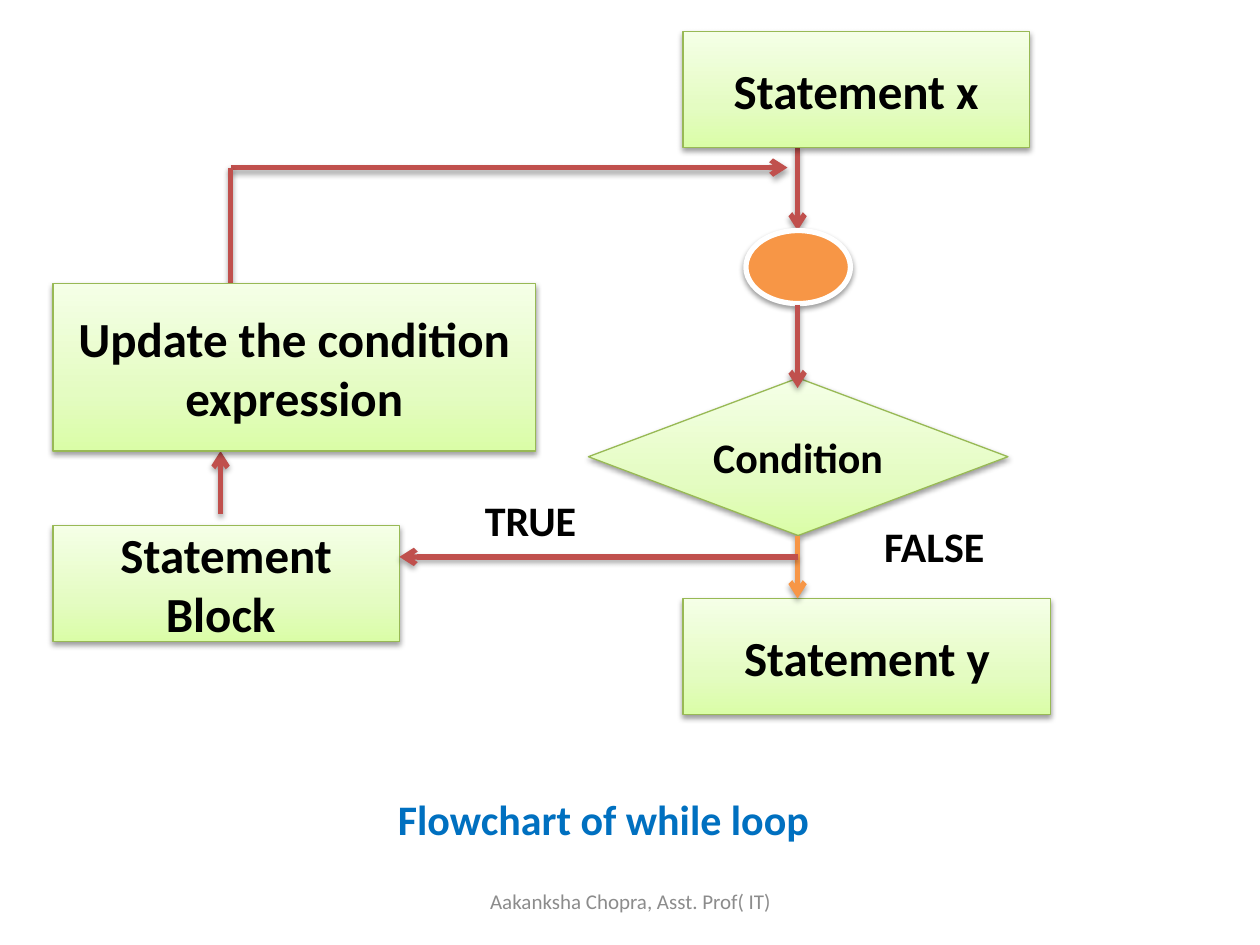
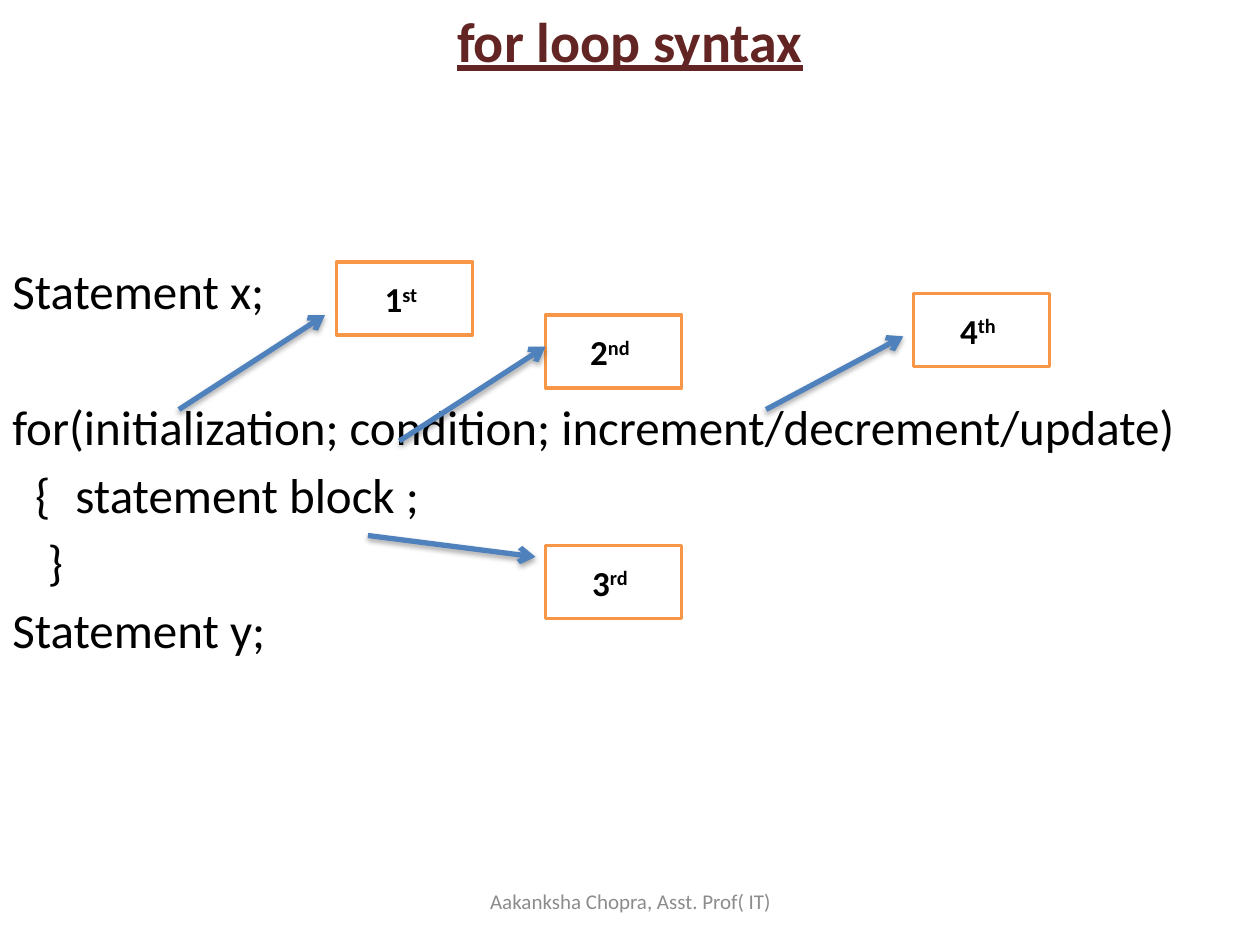
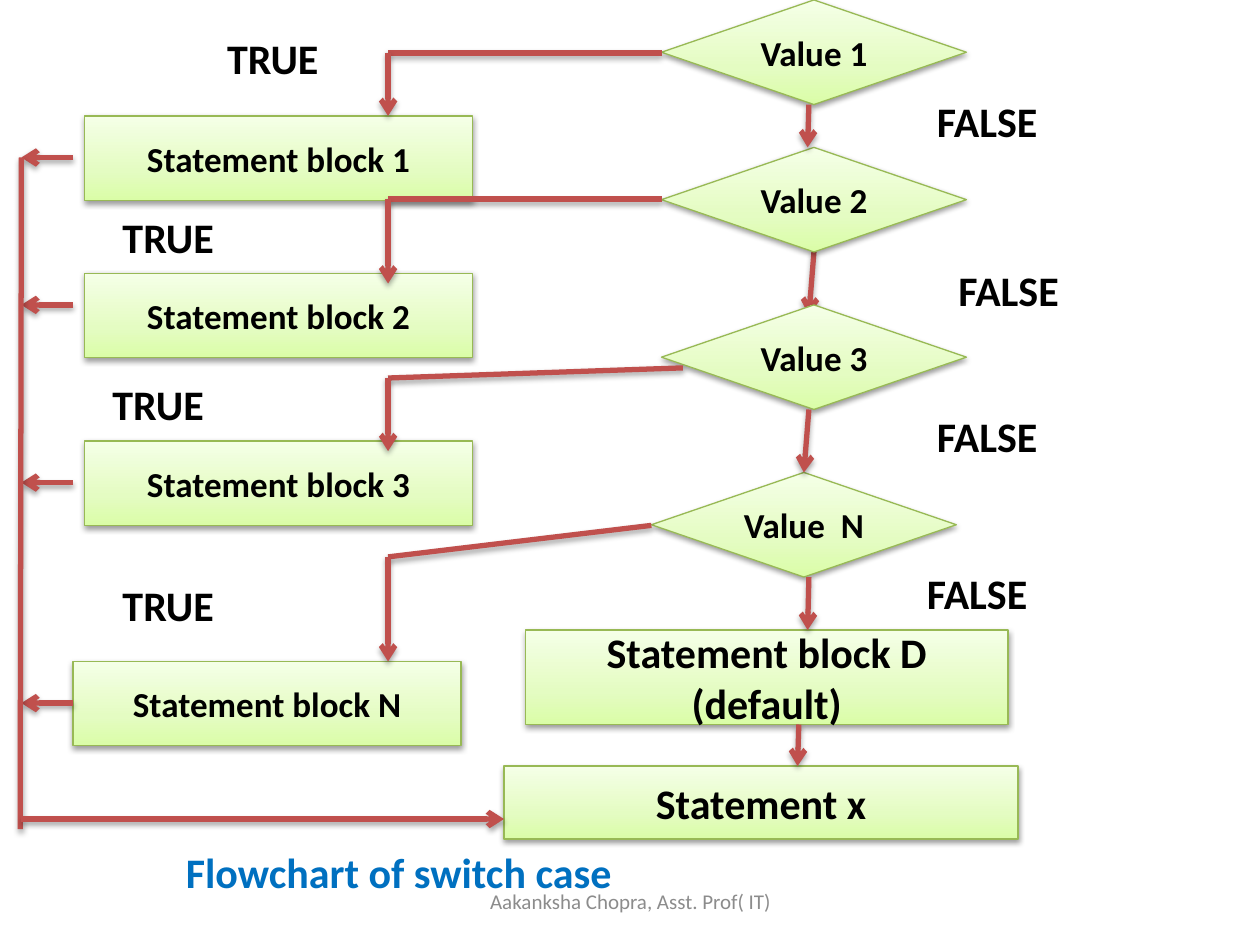
"""Build three slides on C loops and switch: two flowcharts and one syntax page."""
from copy import deepcopy
from dataclasses import dataclass
from typing import NamedTuple

from lxml import etree
from pptx import Presentation
from pptx import util as u
from pptx.dml.color import RGBColor
from pptx.enum import shapes, text
from pptx.oxml import ns


@dataclass(frozen=True)
class Theme:
    font: str = "Calibri"
    ink: str = "000000"
    paper: str = "FFFFFF"
    caption: str = "0070C0"
    heading: str = "632523"
    footer: str = "8C8C8C"
    red: str = "C0504D"
    orange: str = "F79646"
    blue: str = "4F81BD"
    node_line: str = "98B955"
    node_fill: tuple = ((0, "DAFDA7"), (0.35, "E4FCC2"), (1, "F5FFE7"))
    heading_size: int = 32
    large: int = 28
    medium: int = 24
    small: int = 20
    tail_size: int = 18
    footer_size: int = 12
    arrow_width: float = 3


class Area(NamedTuple):
    left: float
    top: float
    width: float
    height: float


class Point(NamedTuple):
    x: float
    y: float


@dataclass(frozen=True)
class Node:
    words: str
    area: Area
    size: int
    kind: int = shapes.MSO_SHAPE.RECTANGLE


@dataclass(frozen=True)
class Label:
    words: str
    area: Area


@dataclass(frozen=True)
class Arrow:
    start: Point
    end: Point
    color: str
    head: bool = True


@dataclass(frozen=True)
class Case:
    name: str
    value: Point
    block: Point
    true: Point
    false: Point
    branch: Point
    corner: float
    landing: float
    back: float


@dataclass(frozen=True)
class Step:
    number: str
    suffix: str
    corner: Point
    arrow: Arrow


THEME = Theme()
DECISION = shapes.MSO_SHAPE.FLOWCHART_DECISION
FOOTER = "Aakanksha Chopra, Asst. Prof( IT)"
FOOTER_AREA = Area(3.42, 6.95, 3.17, 0.4)


def rgb(value: str) -> RGBColor:
    return RGBColor.from_string(value)


def inches(area: Area) -> list:
    return [u.Inches(length) for length in area]


def style(para, size: int, color: str, bold: bool = True,
          align=text.PP_ALIGN.CENTER) -> None:
    para.alignment = align
    para.font.name = THEME.font
    para.font.size = u.Pt(size)
    para.font.bold = bold
    para.font.color.rgb = rgb(color)


def cast_shadow(item, alpha: int, distance: int) -> None:
    props = item._element.spPr
    effects = props.find(ns.qn("a:effectLst"))
    if effects is None:
        effects = etree.SubElement(props, ns.qn("a:effectLst"))
    shadow = etree.SubElement(effects, ns.qn("a:outerShdw"), blurRad="40000",
                              dist=str(distance), dir="5400000", rotWithShape="0")
    tone = etree.SubElement(shadow, ns.qn("a:srgbClr"), val=THEME.ink)
    etree.SubElement(tone, ns.qn("a:alpha"), val=str(alpha * 1000))


def add_box(page, area: Area, fill: str | None = None,
            kind=shapes.MSO_SHAPE.RECTANGLE):
    box = page.shapes.add_shape(kind, *inches(area))
    box.shadow.inherit = False
    box.line.fill.background()
    if fill:
        box.fill.solid()
        box.fill.fore_color.rgb = rgb(fill)
    box.text_frame.vertical_anchor = text.MSO_ANCHOR.MIDDLE
    return box


def outline(box, color: str, width: float) -> None:
    box.line.color.rgb = rgb(color)
    box.line.width = u.Pt(width)


def write(box, words: str, size: int, color: str) -> None:
    para = box.text_frame.paragraphs[0]
    para.text = words
    style(para, size, color)


def draw_node(page, node: Node) -> None:
    box = add_box(page, node.area, kind=node.kind)
    box.fill.gradient()
    box.fill.gradient_angle = 90
    stops = box._element.spPr.find(".//" + ns.qn("a:gsLst"))
    stops.insert(1, deepcopy(stops[0]))
    for stop, (position, color) in zip(box.fill.gradient_stops, THEME.node_fill):
        stop.position = position
        stop.color.rgb = rgb(color)
    outline(box, THEME.node_line, 0.75)
    cast_shadow(box, 38, 20000)
    write(box, node.words, node.size, THEME.ink)


def draw_label(page, label: Label) -> None:
    write(add_box(page, label.area, THEME.paper), label.words, THEME.medium, THEME.ink)


def draw_arrow(page, arrow: Arrow) -> None:
    line = page.shapes.add_connector(
        shapes.MSO_CONNECTOR.STRAIGHT,
        *(u.Inches(length) for length in (*arrow.start, *arrow.end)))
    outline(line, arrow.color, THEME.arrow_width)
    if arrow.head:
        etree.SubElement(line.line._get_or_add_ln(), ns.qn("a:tailEnd"), type="arrow")
    cast_shadow(line, 35, 23000)


def draw_step(page, step: Step) -> None:
    box = add_box(page, Area(*step.corner, 1.08, 0.58), THEME.paper)
    outline(box, THEME.orange, 2)
    write(box, step.number, THEME.small, THEME.ink)
    para = box.text_frame.paragraphs[0]
    span = para.add_run()
    span.text = step.suffix
    span.font._element.set("baseline", "30000")
    tail = para.add_run()
    tail.text = " "
    tail.font.size = u.Pt(THEME.tail_size)
    draw_arrow(page, step.arrow)


def add_page(deck, title: str, area: Area, size: int, color: str,
             anchor=text.MSO_ANCHOR.MIDDLE):
    page = deck.slides.add_slide(deck.slide_layouts[5])
    box = page.shapes.title
    box.left, box.top, box.width, box.height = inches(area)
    box.text_frame.auto_size = text.MSO_AUTO_SIZE.NONE
    box.text_frame.vertical_anchor = anchor
    write(box, title, size, color)
    footer = page.shapes.add_textbox(*inches(FOOTER_AREA))
    footer.text_frame.word_wrap = True
    footer.text_frame.vertical_anchor = text.MSO_ANCHOR.MIDDLE
    write(footer, FOOTER, THEME.footer_size, THEME.footer)
    footer.text_frame.paragraphs[0].font.bold = False
    return page


def red(x1: float, y1: float, x2: float, y2: float, head: bool = True) -> Arrow:
    return Arrow(Point(x1, y1), Point(x2, y2), THEME.red, head)


def blue(x1: float, y1: float, x2: float, y2: float) -> Arrow:
    return Arrow(Point(x1, y1), Point(x2, y2), THEME.blue)


def build_while(deck) -> None:
    page = add_page(deck, "Flowchart of while loop", Area(1.83, 6.25, 5.92, 0.5),
                    THEME.medium, THEME.caption)
    axis = 6.33
    draw_arrow(page, red(axis, 1.17, axis, 1.83))
    for node in (
        Node("Condition", Area(4.67, 3, 3.33, 1.25), THEME.medium, DECISION),
        Node("Statement x", Area(5.42, 0.25, 2.75, 0.92), THEME.large),
        Node("Statement y", Area(5.42, 4.75, 2.92, 0.92), THEME.large),
        Node("Statement Block ", Area(0.42, 4.17, 2.75, 0.92), THEME.large),
    ):
        draw_node(page, node)
    draw_label(page, Label("TRUE", Area(3.5, 4, 1.42, 0.25)))
    draw_label(page, Label("FALSE", Area(6.75, 4.17, 1.33, 0.33)))
    junction = add_box(page, Area(5.92, 1.83, 0.83, 0.58), THEME.orange,
                       shapes.MSO_SHAPE.FLOWCHART_CONNECTOR)
    outline(junction, THEME.paper, 3)
    cast_shadow(junction, 38, 20000)
    for arrow in (
        Arrow(Point(axis, 4.25), Point(axis, 4.75), THEME.orange),
        red(1.83, 1.33, 6.25, 1.33),
        red(1.83, 2.25, 1.83, 1.33, head=False),
        red(axis, 2.42, axis, 3.08),
        red(axis, 4.42, 3.17, 4.42),
        red(1.75, 4.08, 1.75, 3.58),
    ):
        draw_arrow(page, arrow)
    draw_node(page, Node("Update the condition expression",
                         Area(0.42, 2.25, 3.83, 1.33), THEME.large))


def build_for(deck) -> None:
    page = add_page(deck, "for loop syntax", Area(0, 0, 10, 0.7),
                    THEME.heading_size, THEME.heading, text.MSO_ANCHOR.TOP)
    page.shapes.title.text_frame.paragraphs[0].font.underline = True
    code = page.shapes.add_textbox(*inches(Area(0, 2.02, 10, 3.4))).text_frame
    code.word_wrap = True
    lines = (
        ("Statement x;", 0, 0),
        ("for(initialization; condition; increment/decrement/update)", 0, 44),
        ("{\tstatement block ;", 0.18, 5),
        ("}", 0.28, 5),
        ("Statement y;", 0, 5),
    )
    for index, (words, indent, gap) in enumerate(lines):
        para = code.add_paragraph() if index else code.paragraphs[0]
        para.text = words
        style(para, THEME.large, THEME.ink, False, text.PP_ALIGN.LEFT)
        para.space_before = u.Pt(gap)
        props = para._p.get_or_add_pPr()
        props.set("marL", "0")
        props.set("indent", str(u.Inches(indent)))
        if "\t" in words:
            tabs = etree.Element(ns.qn("a:tabLst"))
            etree.SubElement(tabs, ns.qn("a:tab"), pos=str(u.Inches(0.74)), algn="l")
            props.find(ns.qn("a:defRPr")).addprevious(tabs)
    for step in (
        Step("1", "st", Point(2.67, 2.08), blue(1.42, 3.25, 2.58, 2.5)),
        Step("2", "nd", Point(4.33, 2.5), blue(3.17, 3.5, 4.33, 2.75)),
        Step("3", "rd", Point(4.33, 4.33), blue(2.92, 4.25, 4.25, 4.42)),
        Step("4", "th", Point(7.25, 2.33), blue(6.08, 3.25, 7.17, 2.67)),
    ):
        draw_step(page, step)


def draw_case(page, case: Case) -> None:
    turn, rail, exit_x = 3.08, 0.17, 0.58
    draw_node(page, Node(f"Value {case.name}", Area(*case.value, 2.42, 0.83),
                         THEME.small, DECISION))
    draw_node(page, Node(f"Statement block {case.name.strip()}",
                         Area(*case.block, 3.08, 0.67), THEME.small))
    draw_label(page, Label("TRUE", Area(*case.true, 1.17, 0.25)))
    draw_label(page, Label("FALSE", Area(*case.false, 1.17, 0.25)))
    draw_arrow(page, red(*case.branch, turn, case.corner, head=False))
    draw_arrow(page, red(turn, case.corner, turn, case.landing))
    draw_arrow(page, red(exit_x, case.back, rail, case.back))


def build_switch(deck) -> None:
    page = add_page(deck, "Flowchart of switch case", Area(0.83, 6.75, 4.67, 0.33),
                    THEME.medium, THEME.caption)
    draw_arrow(page, red(6.46, 2, 6.42, 2.5))
    for case in (
        Case("1", Point(5.25, 0), Point(0.67, 0.92), Point(1.58, 0.33),
             Point(7.25, 0.83), Point(5.25, 0.42), 0.42, 0.92, 1.25),
        Case("2", Point(5.25, 1.17), Point(0.67, 2.17), Point(0.75, 1.75),
             Point(7.42, 2.17), Point(5.25, 1.58), 1.58, 2.25, 2.42),
        Case("3", Point(5.25, 2.42), Point(0.67, 3.5), Point(0.67, 3.08),
             Point(7.25, 3.33), Point(5.42, 2.92), 3, 3.58, 3.83),
        Case(" N", Point(5.17, 3.75), Point(0.58, 5.25), Point(0.75, 4.67),
             Point(7.17, 4.58), Point(5.17, 4.17), 4.42, 5.25, 5.58),
    ):
        draw_case(page, case)
    draw_node(page, Node("Statement block D (default)",
                         Area(4.17, 5, 3.83, 0.75), THEME.medium))
    draw_node(page, Node("Statement x", Area(4, 6.08, 4.08, 0.58), THEME.medium))
    for arrow in (
        red(6.42, 0.83, 6.41, 1.17),
        red(6.42, 3.25, 6.38, 3.75),
        red(6.42, 4.58, 6.41, 5),
        red(6.34, 5.75, 6.33, 6.08),
        red(0.17, 1.25, 0.16, 6.58, head=False),
        red(0.17, 6.5, 4, 6.5),
    ):
        draw_arrow(page, arrow)


def main() -> None:
    deck = Presentation()
    deck.slide_width, deck.slide_height = u.Inches(10), u.Inches(7.5)
    build_while(deck)
    build_for(deck)
    build_switch(deck)
    deck.save("out.pptx")


if __name__ == "__main__":
    main()
